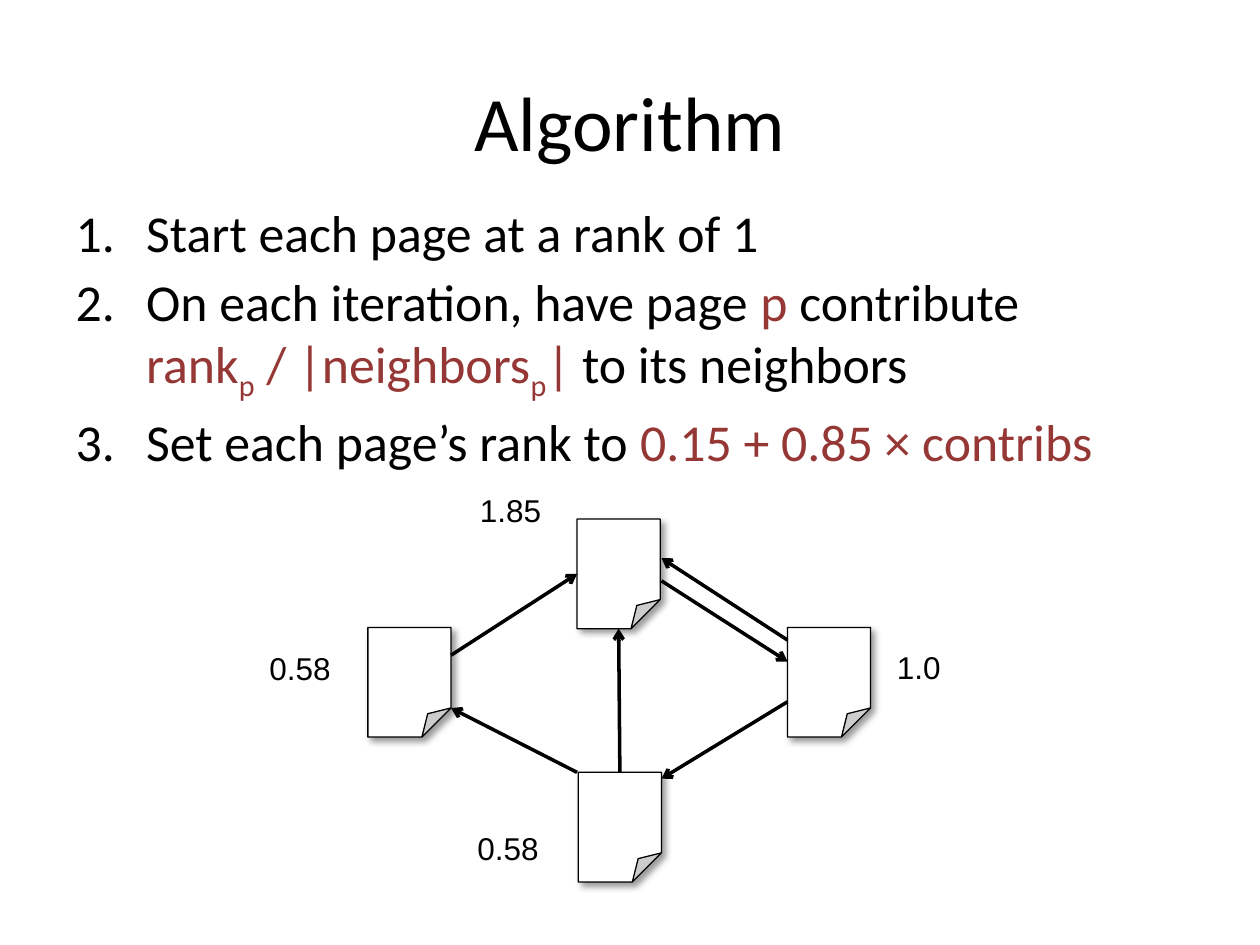
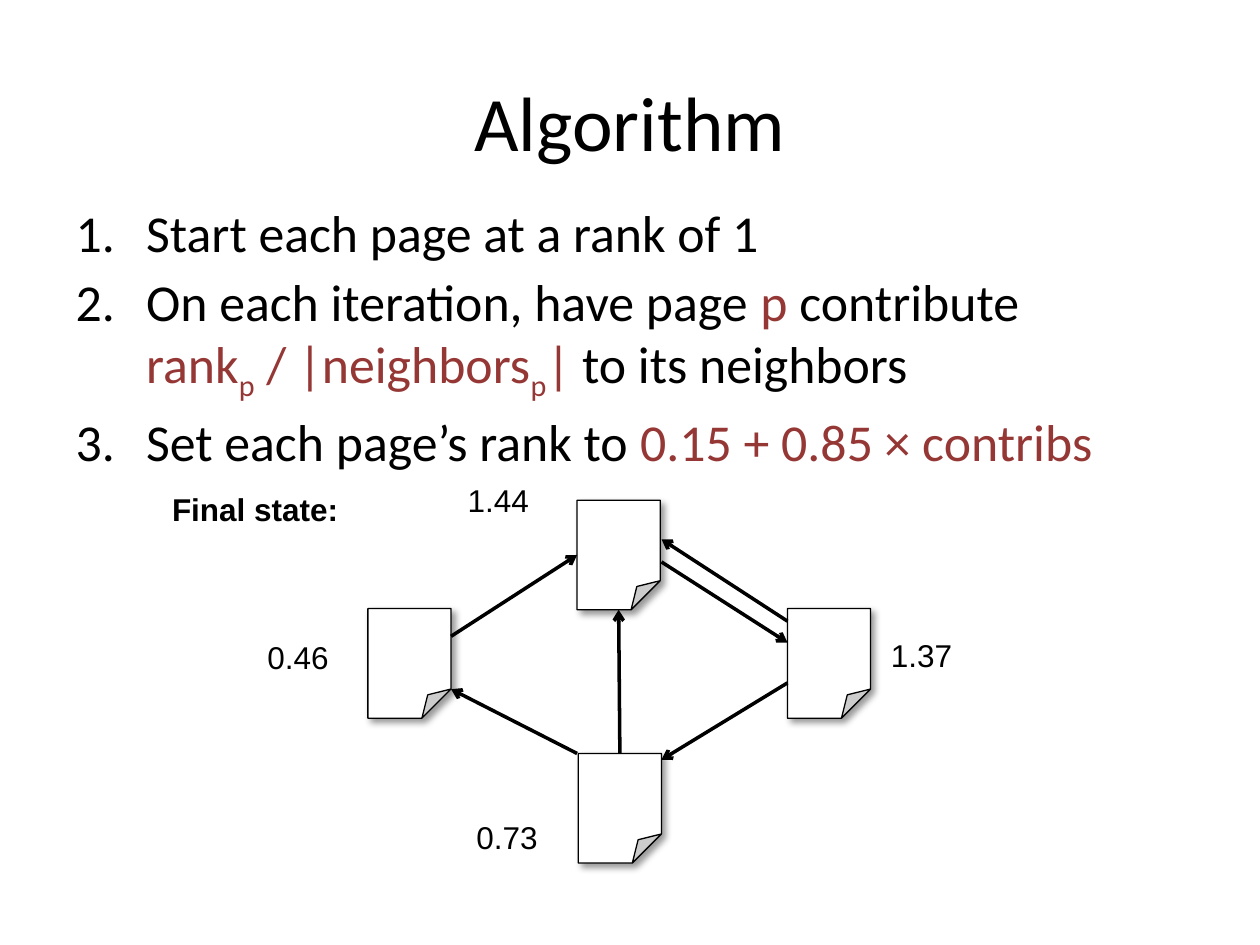
import pptx
import pptx.util
import pptx.dml.color
import pptx.enum.shapes
import pptx.enum.text
import pptx.oxml
import pptx.oxml.ns
from lxml import etree

Inches, Pt = pptx.util.Inches, pptx.util.Pt
qn = pptx.oxml.ns.qn
ALIGN = pptx.enum.text.PP_ALIGN
FIT = pptx.enum.text.MSO_AUTO_SIZE
BLACK, WHITE, RED = "000000", "FFFFFF", "953735"
NS = pptx.oxml.ns.nsdecls("a")
SHADOW = (f'<a:outerShdw {NS} blurRad="{Pt(4)}" dist="{Pt(3)}" dir="2700000" algn="tl" rotWithShape="0">'
          '<a:srgbClr val="000000"><a:alpha val="40000"/></a:srgbClr></a:outerShdw>')


def paint(color, code):
    color.rgb = pptx.dml.color.RGBColor.from_string(code)


def write(para, text, size=18, font="Arial", code=BLACK, bold=False, base=0):
    run = para.add_run()
    run.text = text
    run.font.size, run.font.name, run.font.bold = Pt(size), font, bold
    paint(run.font.color, code)
    if base:
        run._r.get_or_add_rPr().set("baseline", str(base * 1000))


# Numbered steps: (text, colour, baseline) runs, None breaks the line
steps = [
    [("Start each page at a rank of 1", BLACK, 0)],
    [("On each iteration, have page ", BLACK, 0), ("p", RED, 0),
     (" contribute", BLACK, 0), None,
     ("rank", RED, 0), ("p", RED, -25), (" / |neighbors", RED, 0),
     ("p", RED, -25), ("|", RED, 0), (" to its neighbors", BLACK, 0)],
    [("Set each page’s rank to ", BLACK, 0), ("0.15 + 0.85 × contribs", RED, 0)],
]

# Page graph: corners of the pages, and arrows as
# (start, end, page and side at start, page and side at end)
PAGE_W, PAGE_H = 0.66, 0.87
spots = {"left": (2.92, 4.98), "top": (4.58, 4.12),
         "right": (6.25, 4.98), "low": (4.59, 6.13)}
arrows = [
    ((4.58, 6.13), (3.58, 5.62), None, None),
    ((4.92, 6.13), (4.92, 4.98), ("low", 0), ("top", 2)),
    ((3.58, 5.2), (4.58, 4.55), None, ("top", 1)),
    ((6.25, 5.08), (5.25, 4.43), None, None),
    ((5.25, 4.61), (6.25, 5.25), None, None),
    ((6.25, 5.57), (5.25, 6.18), None, None),
]

# What differs: graph shift, label inset, label height, alignment, labels
states = [
    (0, 0.1, 0.4, ALIGN.LEFT, [
        ("0.58", 2.04, 5.1, 0.69, False), ("1.0", 7.02, 5.09, 0.55, False),
        ("1.85", 3.71, 3.85, 0.69, False), ("0.58", 3.69, 6.53, 0.69, False)]),
    (-0.15, 0.24, 0.54, ALIGN.CENTER, [
        ("0.46", 1.88, 4.94, 0.97, False), ("1.37", 6.83, 4.93, 0.97, False),
        ("1.44", 3.47, 3.7, 0.97, False), ("0.73", 3.54, 6.37, 0.97, False),
        ("Final state:", 1.12, 3.77, 1.81, True)]),
]

deck = pptx.Presentation()
deck.slide_width, deck.slide_height = Inches(10), Inches(7.5)

for shift, inset, high, align, labels in states:
    slide = deck.slides.add_slide(deck.slide_layouts[1])
    back = slide.background.fill
    back.solid()
    paint(back.fore_color, WHITE)

    # Title
    title, body = slide.placeholders
    title.left, title.top, title.width, title.height = map(Inches, (0.5, 0.33, 9, 1.25))
    title.text_frame.vertical_anchor = pptx.enum.text.MSO_ANCHOR.MIDDLE
    para = title.text_frame.paragraphs[0]
    para.alignment = ALIGN.CENTER
    write(para, "Algorithm", size=44, font="Calibri")

    # Numbered list
    body.left, body.top, body.width, body.height = map(Inches, (0.5, 1.54, 9, 2.19))
    frame = body.text_frame
    frame.auto_size = FIT.NONE
    for num, step in enumerate(steps):
        para = frame.add_paragraph() if num else frame.paragraphs[0]
        if num:
            para.space_before = Pt(4)
        props = para._p.get_or_add_pPr()
        props.set("marL", str(Inches(0.56)))
        props.set("indent", str(-Inches(0.56)))
        props.append(pptx.oxml.parse_xml(f'<a:buFont {NS} typeface="+mj-lt"/>'))
        props.append(pptx.oxml.parse_xml(f'<a:buAutoNum {NS} type="arabicPeriod"/>'))
        for part in step:
            if part is None:
                para.add_line_break()
            else:
                text, code, base = part
                write(para, text, size=29.6, font="Calibri", code=code, base=base)

    # Pages
    shapes = slide.shapes.add_group_shape().shapes if shift else slide.shapes
    pages = {}
    for name, (x, y) in spots.items():
        page = shapes.add_shape(pptx.enum.shapes.MSO_SHAPE.FOLDED_CORNER, Inches(x),
                                Inches(y + shift), Inches(PAGE_W), Inches(PAGE_H))
        props = page._element.spPr
        fold = props.find(qn("a:prstGeom")).get_or_add_avLst()
        etree.SubElement(fold, qn("a:gd"), name="adj", fmla="val 35000")
        page.fill.solid()
        paint(page.fill.fore_color, WHITE)
        paint(page.line.color, BLACK)
        page.line.width = Pt(0.75)
        page.shadow.inherit = False
        props.find(qn("a:effectLst")).append(pptx.oxml.parse_xml(SHADOW))
        pages[name] = page

    # Arrows
    for (x1, y1), (x2, y2), start, end in arrows:
        line = shapes.add_connector(pptx.enum.shapes.MSO_CONNECTOR.STRAIGHT, Inches(x1),
                                    Inches(y1 + shift), Inches(x2), Inches(y2 + shift))
        if start:
            line.begin_connect(pages[start[0]], start[1])
        if end:
            line.end_connect(pages[end[0]], end[1])
        paint(line.line.color, BLACK)
        line.line.width = Pt(2)
        etree.SubElement(line.line._get_or_add_ln(), qn("a:tailEnd"), type="arrow")
        etree.SubElement(line._element.spPr, qn("a:effectLst"))

    # Rank labels
    for text, x, y, wide, bold in labels:
        box = shapes.add_textbox(Inches(x), Inches(y), Inches(wide), Inches(high))
        frame = box.text_frame
        frame.word_wrap = False
        frame.auto_size = FIT.SHAPE_TO_FIT_TEXT
        frame.margin_left = frame.margin_right = Inches(inset)
        frame.margin_top = frame.margin_bottom = Inches(inset / 2)
        frame.paragraphs[0].alignment = align
        write(frame.paragraphs[0], text, bold=bold)

deck.save("out.pptx")
